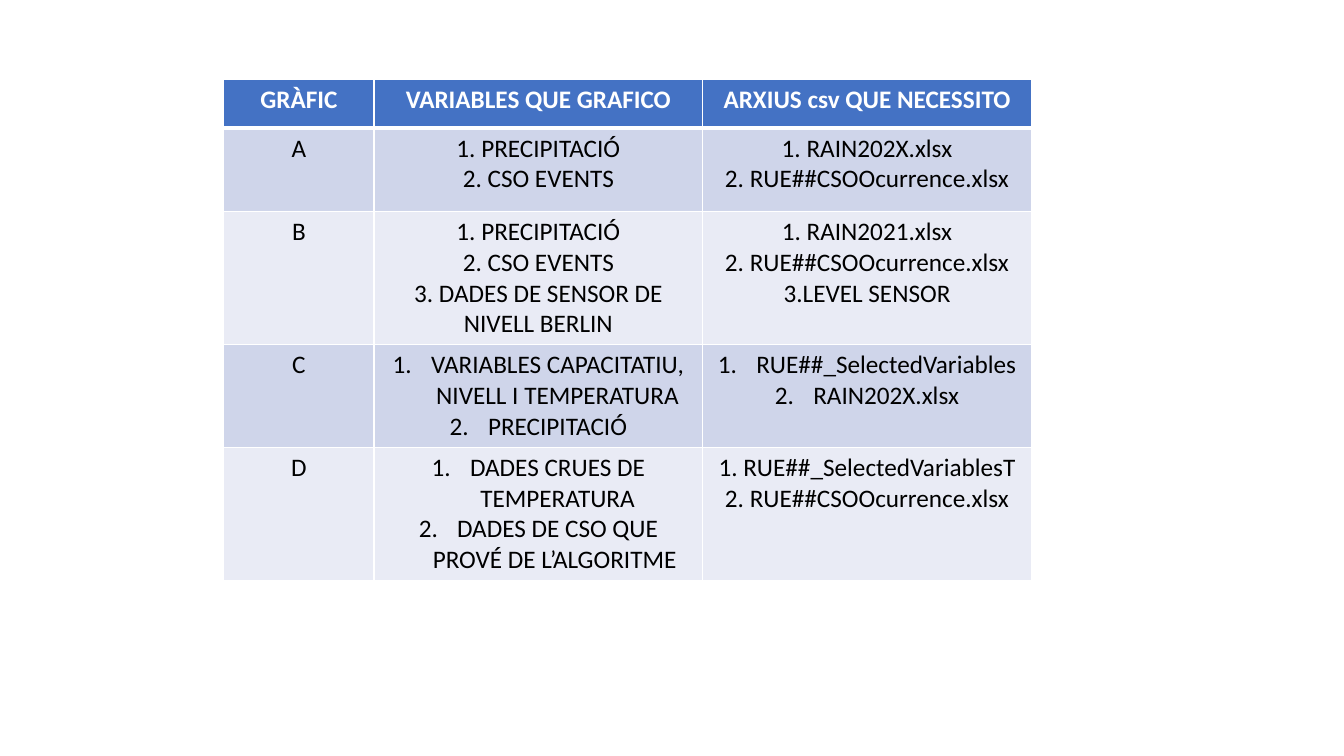
from lxml import etree
from pptx import Presentation
from pptx.dml.color import RGBColor
from pptx.enum import text
from pptx.oxml import ns
from pptx.util import Inches, Pt

WHITE = RGBColor(0xFF, 0xFF, 0xFF)
BLACK = RGBColor(0x00, 0x00, 0x00)
HEADER_BLUE = RGBColor(0x44, 0x72, 0xC4)
BAND_DARK = RGBColor(0xCF, 0xD5, 0xEA)
BAND_LIGHT = RGBColor(0xE9, 0xEB, 0xF5)

COLUMN_WIDTHS = [1.49, 3.26, 3.26]
ROW_HEIGHTS = [0.48, 0.83, 0.83, 0.82, 0.83]
LIST_INDENT = Inches(0.38)

# Each cell is a list of paragraphs
CONTENT = [
    [["GRÀFIC"], ["VARIABLES QUE GRAFICO"], ["ARXIUS csv QUE NECESSITO"]],
    [["A"],
     ["1. PRECIPITACIÓ", "2. CSO EVENTS"],
     ["1. RAIN202X.xlsx", "2. RUE##CSOOcurrence.xlsx"]],
    [["B"],
     ["1. PRECIPITACIÓ", "2. CSO EVENTS", "3. DADES DE SENSOR DE NIVELL BERLIN"],
     ["1. RAIN2021.xlsx", "2. RUE##CSOOcurrence.xlsx", "3.LEVEL SENSOR"]],
    [["C"],
     ["VARIABLES CAPACITATIU, NIVELL I TEMPERATURA", "PRECIPITACIÓ"],
     ["RUE##_SelectedVariables", "RAIN202X.xlsx"]],
    [["D"],
     ["DADES CRUES DE TEMPERATURA", "DADES DE CSO QUE PROVÉ DE L’ALGORITME "],
     ["1. RUE##_SelectedVariablesT", "2. RUE##CSOOcurrence.xlsx"]],
]
# Cells (row, column) with automatic numbering
NUMBERED = {(3, 1), (3, 2), (4, 1)}


def add_border(cell, side, points):
    line = etree.SubElement(cell._tc.get_or_add_tcPr(), ns.qn(f"a:ln{side}"), w=str(Pt(points)))
    fill = etree.SubElement(line, ns.qn("a:solidFill"))
    etree.SubElement(fill, ns.qn("a:srgbClr"), val=str(WHITE))


def number_paragraph(paragraph):
    properties = paragraph._p.get_or_add_pPr()
    properties.set("marL", str(LIST_INDENT))
    properties.set("indent", str(-LIST_INDENT))
    etree.SubElement(properties, ns.qn("a:buFont"), typeface="+mj-lt")
    etree.SubElement(properties, ns.qn("a:buAutoNum"), type="arabicPeriod")


def fill_cell(cell, lines, row, numbered):
    # Borders come before the fill in the cell properties
    thickness = {"L": 1, "R": 1, "T": 3 if row == 1 else 1, "B": 3 if row == 0 else 1}
    for side, points in thickness.items():
        add_border(cell, side, points)
    cell.fill.solid()
    cell.fill.fore_color.rgb = HEADER_BLUE if row == 0 else (BAND_LIGHT, BAND_DARK)[row % 2]

    # Text
    frame = cell.text_frame
    for index, line in enumerate(lines):
        paragraph = frame.add_paragraph() if index else frame.paragraphs[0]
        paragraph.alignment = text.PP_ALIGN.CENTER
        if numbered:
            number_paragraph(paragraph)
        run = paragraph.add_run()
        run.text = line
        run.font.name = "Calibri"
        run.font.size = Pt(18)
        run.font.bold = row == 0
        run.font.color.rgb = WHITE if row == 0 else BLACK


def add_chart_plan(slide, left, top):
    """Table of graphs with their variables and source files."""
    plan = slide.shapes.add_table(
        len(ROW_HEIGHTS), len(COLUMN_WIDTHS), Inches(left), Inches(top),
        Inches(sum(COLUMN_WIDTHS)), Inches(sum(ROW_HEIGHTS))).table
    for column, width in zip(plan.columns, COLUMN_WIDTHS):
        column.width = Inches(width)
    for row, height in zip(plan.rows, ROW_HEIGHTS):
        row.height = Inches(height)
    for r, cells in enumerate(CONTENT):
        for c, lines in enumerate(cells):
            fill_cell(plan.cell(r, c), lines, r, (r, c) in NUMBERED)


def main():
    deck = Presentation()
    deck.slide_width, deck.slide_height = Inches(13.33), Inches(7.5)
    slide = deck.slides.add_slide(deck.slide_layouts[6])
    add_chart_plan(slide, 2.22, 0.79)
    deck.save("out.pptx")


if __name__ == "__main__":
    main()
